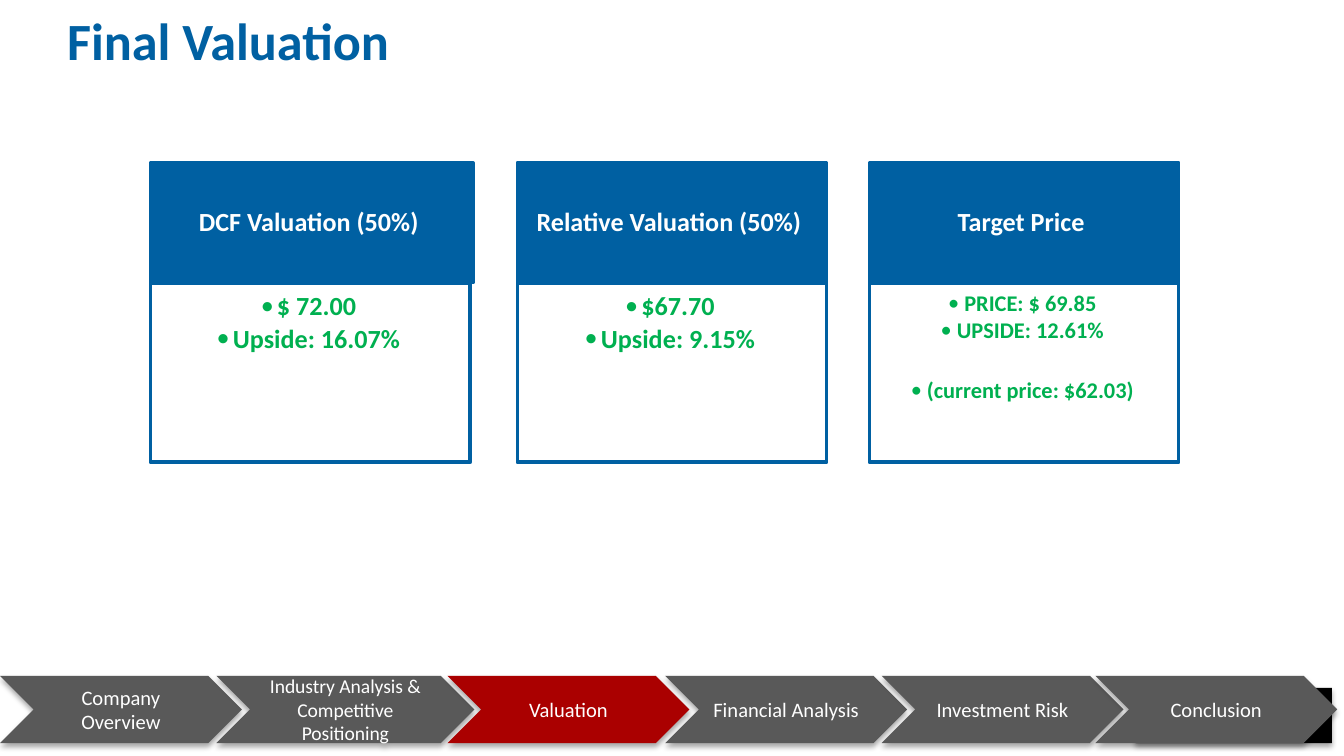
from collections import namedtuple
from dataclasses import dataclass

from lxml import etree
from pptx import Presentation
from pptx import util as u
from pptx.dml.color import RGBColor
from pptx.enum import shapes, text
from pptx.oxml.ns import qn

Box = namedtuple("Box", "left top width height")


@dataclass(frozen=True)
class Theme:
    font: str = "Calibri"
    blue: str = "0060A2"
    green: str = "00B050"
    grey: str = "595959"
    red: str = "AA0000"
    white: str = "FFFFFF"
    black: str = "000000"
    title: float = 28
    card: float = 14
    target: float = 12
    step: float = 11
    long_step: float = 10.5


THEME = Theme()
WIDTH = u.Inches(10)
HEIGHT = WIDTH * 9 // 16
COL, ROW = WIDTH / 100, HEIGHT / 100  # grid of 100 columns by 100 rows


def grid(left, top, width, height):
    return Box(*(int(n) for n in (left * COL, top * ROW, width * COL, height * ROW)))


def rgb(color):
    return RGBColor.from_string(color)


def add_run(paragraph, words, size, color, bold=False):
    run = paragraph.add_run()
    run.text = words
    font = run.font
    font.name, font.size, font.bold = THEME.font, u.Pt(size), bold
    font.color.rgb = rgb(color)


def add_block(slide, kind, box, fill, line=None):
    block = slide.shapes.add_shape(kind, *box)
    block.shadow.inherit = False
    block.fill.solid()
    block.fill.fore_color.rgb = rgb(fill)
    if line:
        block.line.color.rgb = rgb(line)
        block.line.width = u.Pt(2)
    else:
        block.line.fill.background()
    return block


def set_margins(frame, left, top, right, bottom):
    frame.margin_left, frame.margin_top = u.Inches(left), u.Inches(top)
    frame.margin_right, frame.margin_bottom = u.Inches(right), u.Inches(bottom)


def add_shadow(block):
    effects = block._element.spPr.find(qn("a:effectLst"))
    shadow = etree.SubElement(effects, qn("a:outerShdw"), blurRad=str(u.Pt(3.1)),
                              dist=str(u.Pt(1.8)), dir="5400000", rotWithShape="0")
    color = etree.SubElement(shadow, qn("a:srgbClr"), val=THEME.black)
    etree.SubElement(color, qn("a:alpha"), val="35000")


def add_bullet(paragraph):
    properties = paragraph._p.get_or_add_pPr()
    properties.set("marL", str(u.Inches(0.12)))
    properties.set("indent", str(-u.Inches(0.12)))
    etree.SubElement(properties, qn("a:buFont"), typeface=THEME.font)
    etree.SubElement(properties, qn("a:buChar"), char="•")


def place_title(slide, box, words):
    title = slide.shapes.title
    title.left, title.top, title.width, title.height = box
    frame = title.text_frame
    frame.auto_size = text.MSO_AUTO_SIZE.NONE
    frame.vertical_anchor = text.MSO_ANCHOR.MIDDLE
    heading = frame.paragraphs[0]
    heading.alignment = text.PP_ALIGN.LEFT
    add_run(heading, words, THEME.title, THEME.blue, bold=True)


def place_card(slide, box, body_width, heading, points, size):
    """points holds pairs of wording and space before."""
    head_height = int(box.height * 0.4)
    rectangle = shapes.MSO_SHAPE.RECTANGLE

    # Heading band
    head = add_block(slide, rectangle, box._replace(height=head_height),
                     THEME.blue, THEME.blue).text_frame
    head.word_wrap = True
    head.vertical_anchor = text.MSO_ANCHOR.MIDDLE
    set_margins(head, 0.11, 0.06, 0.11, 0.06)
    head.paragraphs[0].alignment = text.PP_ALIGN.CENTER
    head.paragraphs[0].line_spacing = 0.9
    add_run(head.paragraphs[0], heading, THEME.card, THEME.white, bold=True)

    # Bulleted figures, with margins in proportion to the type
    body_box = Box(box.left, box.top + head_height, body_width, box.height - head_height)
    body = add_block(slide, rectangle, body_box, THEME.white, THEME.blue).text_frame
    body.word_wrap = True
    body.vertical_anchor = text.MSO_ANCHOR.TOP
    set_margins(body, *(size / THEME.card * side for side in (0.08, 0.08, 0.11, 0.12)))
    for i, (words, gap) in enumerate(points):
        point = body.add_paragraph() if i else body.paragraphs[0]
        point.level = 1
        point.alignment = text.PP_ALIGN.CENTER
        point.line_spacing = 0.9
        point.space_after = u.Pt(size * 0.15)
        if gap:
            point.space_before = u.Pt(gap)
        add_bullet(point)
        point.font.size = u.Pt(size)
        add_run(point, words, size, THEME.green, bold=True)


def place_step(slide, box, words, size, fill):
    chevron = add_block(slide, shapes.MSO_SHAPE.CHEVRON, box, fill)
    add_shadow(chevron)
    frame = chevron.text_frame
    frame.word_wrap = True
    frame.vertical_anchor = text.MSO_ANCHOR.MIDDLE
    frame.paragraphs[0].alignment = text.PP_ALIGN.CENTER
    add_run(frame.paragraphs[0], words, size, THEME.white)


def place_cards(slide, box, cards):
    for left, columns, body_columns, heading, points, size in cards:
        card = box._replace(left=box.left + int(left * COL), width=int(columns * COL))
        place_card(slide, card, int(body_columns * COL), heading, points, size)


def place_steps(slide, box, steps, current):
    for i, (left, columns, words, size) in enumerate(steps):
        # Black corner block behind the last step
        if i == len(steps) - 1:
            corner = Box(int(84.5 * COL), box.top + int(box.height * 0.18),
                         int(14.6 * COL), int(box.height * 0.82))
            add_shadow(add_block(slide, shapes.MSO_SHAPE.RECTANGLE, corner, THEME.black))
        step = box._replace(left=box.left + int(left * COL), width=int(columns * COL))
        fill = THEME.red if words == current else THEME.grey
        place_step(slide, step, words, size, fill)


# Left and width in columns, then the content
CARDS = [
    (0, 24, 23.8, "DCF Valuation (50%) ",
     [("$ 72.00", 0), ("Upside: 16.07%", 0)], THEME.card),
    (27.3, 23, 23, "Relative Valuation (50%) ",
     [("$67.70", 0), ("Upside: 9.15%", 0)], THEME.card),
    (53.5, 23, 23, "Target Price ",
     [("PRICE: $ 69.85", 0), ("UPSIDE: 12.61%", 0),
      ("(current price: $62.03)", 17.5)], THEME.target),
]
STEPS = [
    (0, 18, "Company Overview", THEME.step),
    (16.1, 19.2, "Industry Analysis & Competitive Positioning", THEME.long_step),
    (33.3, 18, "Valuation", THEME.step),
    (49.5, 18, "Financial Analysis", THEME.step),
    (65.6, 18, "Investment Risk", THEME.step),
    (81.5, 18, "Conclusion", THEME.step),
]


def main():
    deck = Presentation()
    deck.slide_width, deck.slide_height = WIDTH, HEIGHT
    slide = deck.slides.add_slide(deck.slide_layouts.get_by_name("Title Only"))
    place_steps(slide, grid(0, 89.4, 100, 8.9), STEPS, "Valuation")
    place_cards(slide, grid(11.2, 21.55, 76.5, 39.6), CARDS)
    place_title(slide, grid(4, 0, 90, 10.5), "Final Valuation")
    deck.save("out.pptx")


if __name__ == "__main__":
    main()
